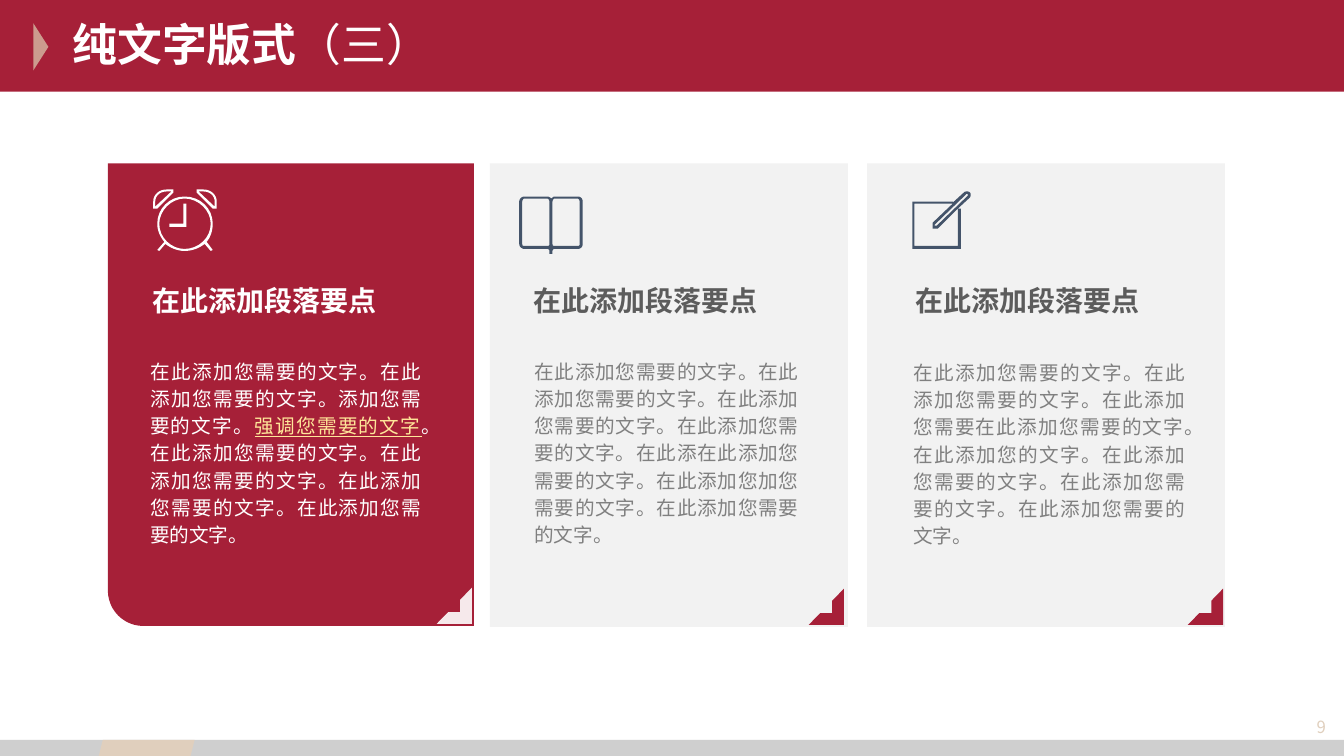
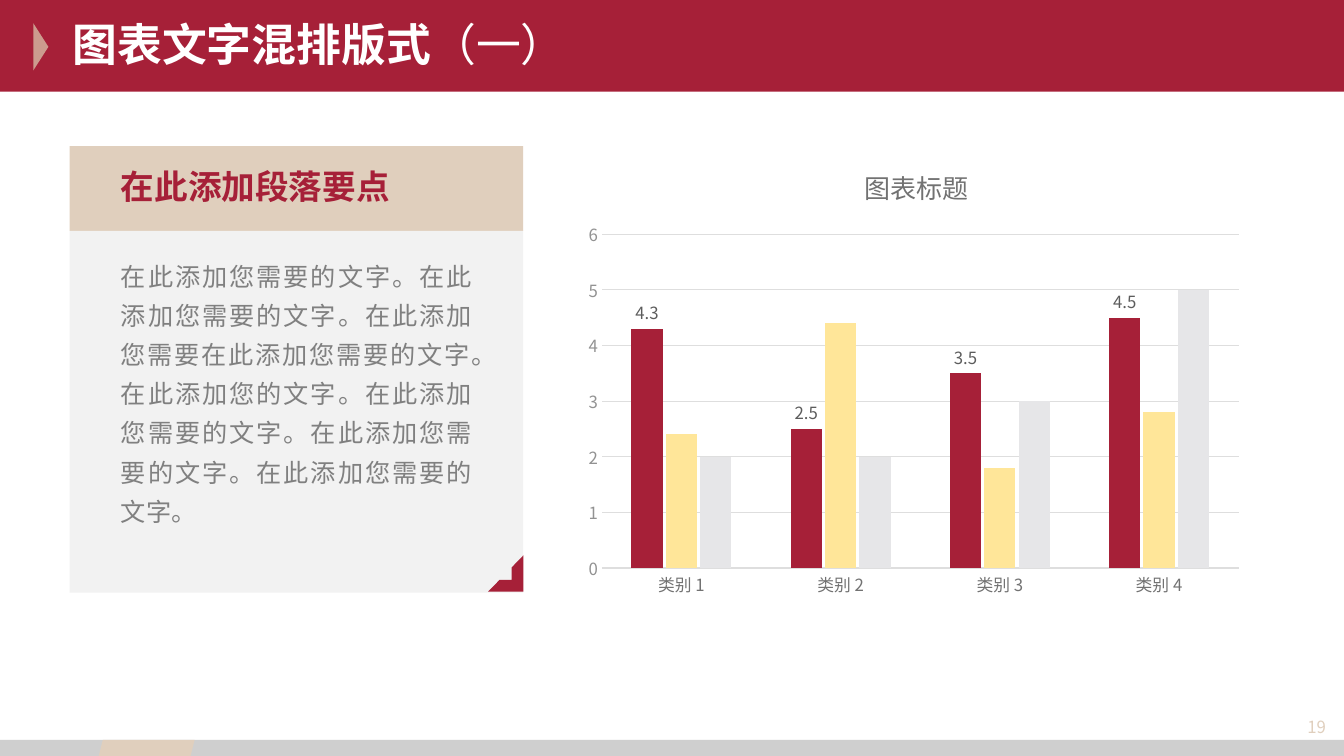
from lxml import etree
from pptx import Presentation
from pptx.chart.data import CategoryChartData
from pptx.dml.color import RGBColor
from pptx.enum.chart import XL_CHART_TYPE, XL_LABEL_POSITION, XL_TICK_MARK
from pptx.enum.shapes import MSO_SHAPE
from pptx.enum.text import MSO_ANCHOR, PP_ALIGN
from pptx.oxml.ns import qn
from pptx.util import Emu, Pt

# Shared style: 100 px to the inch
PX = 9144
WIDTH, HEIGHT = 1333, 750
FONT = "Noto Sans CJK SC"
RED, SAND, ROSE, PALE = "A62038", "E0CFBD", "CC9B8E", "F2F2F2"
YELLOW, WHITE, SLATE, BAND = "FFE699", "FFFFFF", "44546A", "BFBFBF"
DARK, GREY, AXIS, TICK = "5C5C5C", "808080", "727272", "929292"
GRID, SILVER = "DEDEDE", "E6E6E8"


def mirror(contour, axis_sum):
    return [tuple(axis_sum - v if i % 2 == 0 else v for i, v in enumerate(pt))
            for pt in contour]


# Icons: contours of points (x, y) and cubic curves (x1, y1, x2, y2, x, y)
BELL = [
    [(172, 188), (165, 188), (158, 188, 152, 193, 152, 200), (152, 207),
     (156, 207), (172, 191)],
    [(170, 190), (154, 205), (154, 200), (154, 194, 159, 190, 165, 190)],
]
CLOCK_BODY = [
    [(183, 195), (168, 195, 156, 207, 156, 222), (156, 229, 159, 235, 163, 240),
     (156, 248), (158, 249), (164, 242), (169, 246, 176, 249, 183, 249),
     (191, 249, 198, 246, 203, 242), (209, 249), (211, 248), (205, 240),
     (209, 235, 211, 229, 211, 222), (211, 207, 199, 195, 183, 195)],
    [(183, 247), (170, 247, 158, 236, 158, 222), (158, 209, 170, 197, 183, 197),
     (197, 197, 209, 209, 209, 222), (209, 236, 197, 247, 183, 247)],
]
CLOCK_HANDS = [[(182, 222), (168, 222), (168, 225), (185, 225), (185, 202),
                (182, 202)]]
CLOCK = [CLOCK_BODY, BELL, [mirror(c, 367) for c in BELL], CLOCK_HANDS]
LEFT_PAGE = [(518, 242), (518, 200), (518, 199, 519, 197, 520, 197), (543, 197),
             (544, 197, 545, 199, 545, 200), (545, 242),
             (545, 244, 544, 244, 543, 244), (520, 244),
             (519, 244, 518, 244, 518, 242)]
BOOK = [[
    [(573, 195), (550, 195), (549, 195, 548, 196, 547, 197),
     (546, 196, 544, 195, 543, 195), (520, 195), (518, 195, 515, 197, 515, 200),
     (515, 242), (515, 245, 518, 247, 520, 247), (543, 247),
     (544, 247, 545, 248, 545, 249), (545, 252), (548, 252), (548, 249),
     (548, 248, 549, 247, 550, 247), (573, 247), (576, 247, 578, 245, 578, 242),
     (578, 200), (578, 197, 576, 195, 573, 195)],
    LEFT_PAGE,
    mirror(LEFT_PAGE, 1093),
]]
PENCIL = [[
    [(962, 191), (961, 190, 960, 190, 959, 190), (958, 190, 957, 190, 956, 191),
     (945, 201), (945, 200), (905, 200), (905, 247), (953, 247), (953, 207),
     (950, 207), (962, 196), (963, 194, 963, 192, 962, 191)],
    [(950, 244), (907, 244), (907, 202), (945, 202), (925, 221), (925, 227),
     (930, 227), (950, 207)],
    [(960, 194), (929, 224), (927, 224), (927, 223), (958, 193),
     (958, 192, 959, 192, 960, 193)],
]]

# Slide content
POINT = "在此添加段落要点"
NOTE = ("在此添加您需要的文字。在此添加您需要的文字。在此添加您需要在此添加您需要的文字。"
        "在此添加您的文字。在此添加您需要的文字。在此添加您需要的文字。在此添加您需要的文字。")
CARDS = [
    dict(icon=CLOCK, ink=WHITE, head=(141, 282, WHITE), body=(139, 348, 289, WHITE),
         corner=(433, 583, WHITE, 90),
         text=[("在此添加您需要的文字。在此添加您需要的文字。添加您需要的文字。", {}),
               ("强调您需要的文字", dict(color=YELLOW, underline=True)),
               ("。在此添加您需要的文字。在此添加您需要的文字。"
                "在此添加您需要的文字。在此添加您需要的文字。", {})]),
    dict(icon=BOOK, ink=SLATE, head=(519, 282, DARK), body=(520, 348, 282, GREY),
         corner=(802, 584, RED, 100),
         text="在此添加您需要的文字。在此添加您需要的文字。在此添加您需要的文字。"
              "在此添加您需要的文字。在此添在此添加您需要的文字。"
              "在此添加您加您需要的文字。在此添加您需要的文字。"),
    dict(icon=PENCIL, ink=SLATE, head=(898, 282, DARK), body=(896, 349, 289, GREY),
         corner=(1178, 584, RED, 100), text=NOTE),
]
CATEGORIES = ["类别 1", "类别 2", "类别 3", "类别 4"]
SERIES = [("Series 1", RED, (4.3, 2.5, 3.5, 4.5)),
          ("Series 2", YELLOW, (2.4, 4.4, 1.8, 2.8)),
          ("Series 3", SILVER, (2, 2, 3, 5))]


# Drawing helpers
def rgb(value):
    return RGBColor.from_string(value)


def px(*values):
    return [Emu(round(v * PX)) for v in values]


def paint(sp, color, alpha=100):
    sp.shadow.inherit = False
    sp.fill.solid()
    sp.fill.fore_color.rgb = rgb(color)
    sp.line.fill.background()
    if alpha < 100:
        clr = sp.fill._xPr.find(qn("a:solidFill"))[0]
        etree.SubElement(clr, qn("a:alpha")).set("val", str(alpha * 1000))


def shape(s, kind, box, color, alpha=100, rot=0, adj=()):
    sp = s.shapes.add_shape(kind, *px(*box))
    for i, value in enumerate(adj):
        sp.adjustments[i] = value
    sp.rotation = rot
    paint(sp, color, alpha)


def set_font(font, size, color, bold=False, underline=False):
    font.name, font.size, font.bold = FONT, Pt(size), bold
    font.underline = underline
    font.color.rgb = rgb(color)


def text(s, box, runs, size=14, color=WHITE, bold=False, align=PP_ALIGN.LEFT,
         anchor=MSO_ANCHOR.MIDDLE, spacing=None):
    tf = s.shapes.add_textbox(*px(*box)).text_frame
    tf.word_wrap = True
    tf.vertical_anchor = anchor
    p = tf.paragraphs[0]
    p.alignment = align
    p.line_spacing = spacing
    for content, changes in [(runs, {})] if isinstance(runs, str) else runs:
        r = p.add_run()
        r.text = content
        set_font(r.font, **{**dict(size=size, color=color, bold=bold), **changes})
        ea = etree.SubElement(r._r.get_or_add_rPr(), qn("a:ea"))
        ea.set("typeface", FONT)


def heading(s, box, size, color):
    text(s, box, POINT, size=size, color=color, bold=True, spacing=0.96)


def body(s, box, runs, size, color, pitch):
    text(s, box, runs, size=size, color=color, align=PP_ALIGN.JUSTIFY,
         anchor=MSO_ANCHOR.TOP, spacing=Pt(pitch))


def corner(s, x, y, color=RED, alpha=100):
    shape(s, MSO_SHAPE.HALF_FRAME, (x, y, 35, 36), color, alpha, rot=180)


def outline(contour, steps=8):
    points = [contour[0]]
    for pt in contour[1:]:
        if len(pt) == 2:
            points.append(pt)
            continue
        knots = [points[-1], pt[:2], pt[2:4], pt[4:]]
        for i in range(1, steps + 1):
            t = i / steps
            weights = ((1 - t) ** 3, 3 * t * (1 - t) ** 2, 3 * t * t * (1 - t), t ** 3)
            points.append(tuple(sum(w * k[n] for w, k in zip(weights, knots))
                                for n in (0, 1)))
    return [tuple(px(*pt)) for pt in points]


def icon(s, parts, color):
    for contours in parts:
        first, *others = [outline(c) for c in contours]
        builder = s.shapes.build_freeform(*first[0])
        builder.add_line_segments(first[1:], close=True)
        for points in others:
            builder.move_to(*points[0])
            builder.add_line_segments(points[1:], close=True)
        paint(builder.convert_to_shape(), color)


def new_slide(prs, title, suffix, number):
    s = prs.slides.add_slide(prs.slide_layouts[6])
    shape(s, MSO_SHAPE.RECTANGLE, (0, 0, WIDTH, 91), RED)
    shape(s, MSO_SHAPE.ISOSCELES_TRIANGLE, (17, 39, 47, 15), ROSE, rot=90)
    shape(s, MSO_SHAPE.RECTANGLE, (0, 734, WIDTH, 16), BAND, alpha=75)
    shape(s, MSO_SHAPE.PARALLELOGRAM, (98, 734, 95, 16), SAND)
    text(s, (62, 14, 1069, 65), [(title, {}), (suffix, dict(bold=False))],
         size=32, bold=True, spacing=0.9)
    text(s, (1212, 702, 113, 38), number, size=12, color=SAND, align=PP_ALIGN.RIGHT)
    return s


# Chart
def place(parent, index, **fractions):
    for old in parent.findall(qn("c:layout")):
        parent.remove(old)
    layout = etree.Element(qn("c:layout"))
    manual = etree.SubElement(layout, qn("c:manualLayout"))
    settings = dict(xMode="edge", yMode="edge", **fractions)
    if "w" in fractions:
        settings = dict(layoutTarget="inner", **settings)
    for name, value in settings.items():
        etree.SubElement(manual, qn("c:" + name)).set("val", str(value))
    parent.insert(index, layout)


def column_chart(s, box):
    data = CategoryChartData()
    data.categories = CATEGORIES
    for name, _, values in SERIES:
        data.add_series(name, values)
    chart = s.shapes.add_chart(XL_CHART_TYPE.COLUMN_CLUSTERED, *px(*box), data).chart
    set_font(chart.font, 10, "262626")
    chart.has_legend = False
    chart.has_title = True
    p = chart.chart_title.text_frame.paragraphs[0]
    r = p.add_run()
    r.text = "图表标题"
    set_font(r.font, 18.6, AXIS)
    chart.chart_title.include_in_layout = False
    place(chart.element.find(".//" + qn("c:title")), 1, x=0.42, y=0.03)
    place(chart.element.find(".//" + qn("c:plotArea")), 0, x=0.04, y=0.19, w=0.94, h=0.72)

    plot = chart.plots[0]
    plot.gap_width, plot.overlap = 190, -10
    plot.vary_by_categories = False
    for series, (_, color, _) in zip(plot.series, SERIES):
        series.format.fill.solid()
        series.format.fill.fore_color.rgb = rgb(color)
    labels = plot.series[0].data_labels
    labels.show_value = True
    labels.position = XL_LABEL_POSITION.OUTSIDE_END
    set_font(labels.font, 12, DARK)

    cats, vals = chart.category_axis, chart.value_axis
    for axis, color in ((cats, AXIS), (vals, TICK)):
        axis.major_tick_mark = axis.minor_tick_mark = XL_TICK_MARK.NONE
        set_font(axis.tick_labels.font, 12, color)
    vals.minimum_scale, vals.maximum_scale, vals.major_unit = 0, 6, 1
    vals.format.line.fill.background()
    for line in (cats.format.line, vals.major_gridlines.format.line):
        line.color.rgb = rgb(GRID)
        line.width = Pt(0.75)


# Slides
def cards_slide(prs):
    s = new_slide(prs, "纯文字版式", "（三）", "9")
    shape(s, MSO_SHAPE.SNIP_ROUND_RECTANGLE, (59, 210, 459, 363), RED, rot=270,
          adj=(0.097, 0))
    for x in (486, 860):
        shape(s, MSO_SHAPE.RECTANGLE, (x, 162, 355, 460), PALE)
    for card in CARDS:
        x, y, color = card["head"]
        heading(s, (x, y, 289, 35), 20, color)
        x, y, width, color = card["body"]
        body(s, (x, y, width, 200), card["text"], 14, color, 19.5)
        icon(s, card["icon"], card["ink"])
        corner(s, *card["corner"])


def chart_slide(prs):
    s = new_slide(prs, "图表文字混排版式", "（一）", "19")
    shape(s, MSO_SHAPE.RECTANGLE, (69, 145, 450, 84), SAND)
    shape(s, MSO_SHAPE.RECTANGLE, (69, 229, 450, 359), PALE)
    heading(s, (110, 158, 394, 57), 24, RED)
    body(s, (110, 245, 368, 285), NOTE, 18, GREY, 28)
    corner(s, 484, 551)
    column_chart(s, (570, 145, 672, 460))


def main():
    prs = Presentation()
    prs.slide_width, prs.slide_height = px(WIDTH, HEIGHT)
    cards_slide(prs)
    chart_slide(prs)
    prs.save("out.pptx")


if __name__ == "__main__":
    main()
